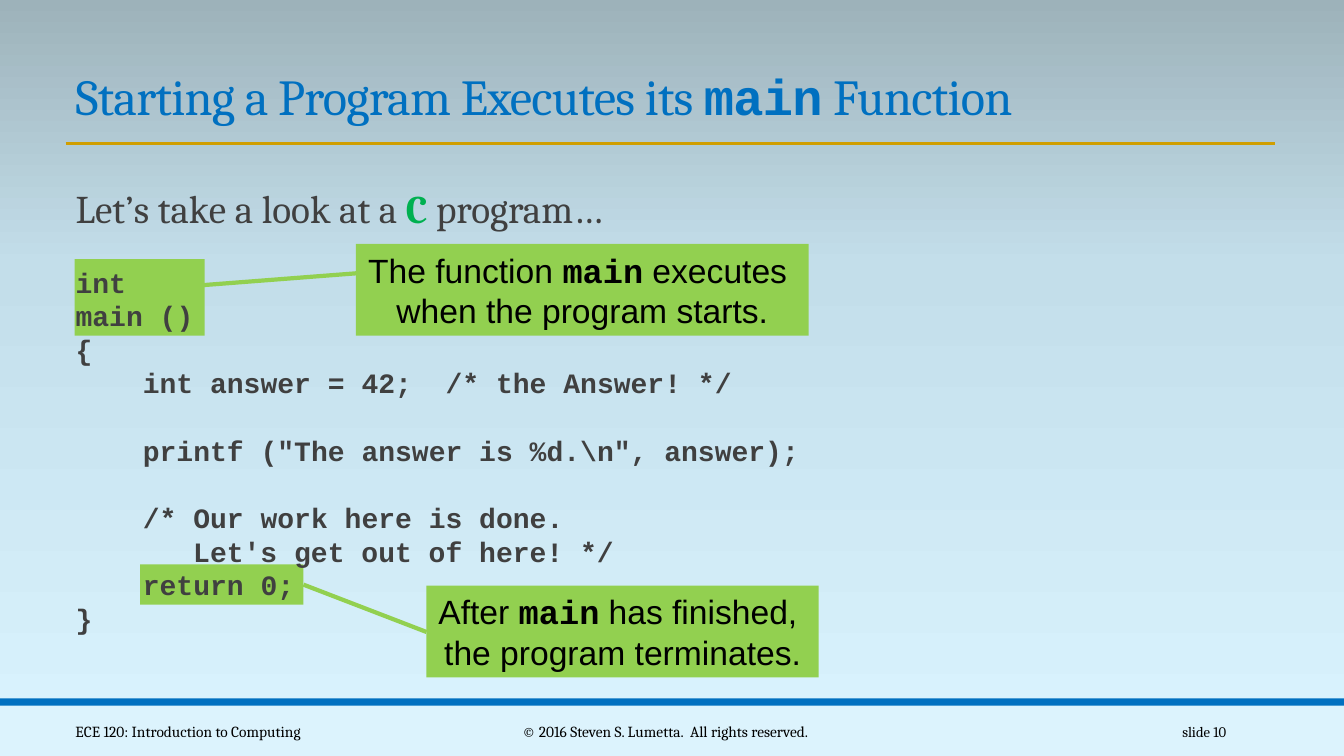
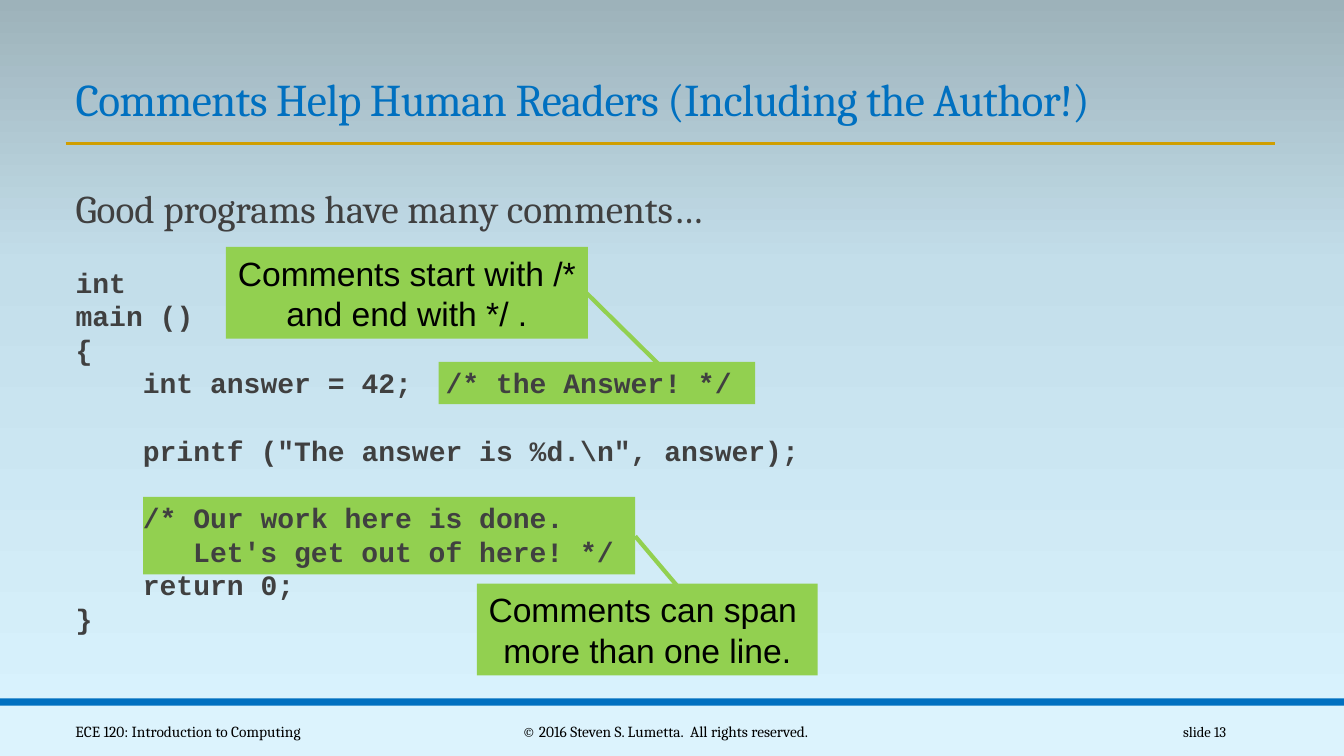
import copy
from dataclasses import dataclass, field
from typing import NamedTuple

import pptx
import pptx.dml.color
import pptx.enum.shapes
import pptx.enum.text
import pptx.oxml
import pptx.oxml.ns
import pptx.util

ALIGN = pptx.enum.text.PP_ALIGN
ANCHOR = pptx.enum.text.MSO_ANCHOR
AUTOSIZE = pptx.enum.text.MSO_AUTO_SIZE
PX = 9144  # EMU per px, 100 px to the inch


@dataclass(frozen=True)
class Theme:
    serif: str = "Cambria"
    sans: str = "Arial"
    mono: str = "Courier New"
    blue: str = "0070C0"
    gold: str = "D09E00"
    green: str = "92D050"
    keyword: str = "00B050"
    footer_fill: str = "DCF3FD"
    text: str = "404040"
    black: str = "000000"
    lead_pt: float = 28
    code_pt: float = 20
    code_line_pt: float = 24
    callout_pt: float = 24
    footer_pt: float = 11
    number_pt: float = 10.5
    background: tuple = ((0, "DAF4FF"), (0.65, "C3DEEA"), (1, "9DB2BA"))


THEME = Theme()


class Box(NamedTuple):
    x: int
    y: int
    w: int
    h: int


class Line(NamedTuple):
    x1: int
    y1: int
    x2: int
    y2: int


class Run(NamedTuple):
    text: str
    style: dict = {}


class CodeLine(NamedTuple):
    text: str
    indent: int = 0
    gap: bool = False


@dataclass(frozen=True)
class Callout:
    """A highlighted piece of code, a note about it and the line between them."""
    highlight: Box
    note: Box
    link: Line
    lines: list[list[Run]]


@dataclass(frozen=True)
class CodeSlide:
    number: int
    title: list[Run]
    lead: list[Run]
    callouts: list[Callout] = field(default_factory=list)
    title_pt: float = 36


MONO = {"name": THEME.mono, "bold": True}
TITLE_BOX = Box(65, 59, 1201, 71)
BODY_BOX = Box(65, 178, 852, 464)
PROGRAM = [
    CodeLine("int", gap=True),
    CodeLine("main ()"),
    CodeLine("{"),
    CodeLine("int answer = 42;  /* the Answer! */", 4),
    CodeLine('printf ("The answer is %d.\\n", answer);', 4, True),
    CodeLine("/* Our work here is done.", 4, True),
    CodeLine("Let's get out of here! */", 7),
    CodeLine("return 0;", 4),
    CodeLine("}"),
]
SLIDES = [
    CodeSlide(
        10,
        [Run("Starting a Program Executes its "), Run("main", MONO), Run(" Function")],
        [Run("Let’s take a look at a "),
         Run("C", {"bold": True, "color": THEME.keyword}), Run(" program…")],
        [Callout(Box(74, 257, 129, 76), Box(353, 242, 449, 91), Line(187, 284, 368, 270),
                 [[Run("The function "), Run("main", MONO), Run(" executes ")],
                  [Run("when the program starts.")]]),
         Callout(Box(139, 560, 162, 40), Box(423, 581, 389, 91), Line(301, 580, 423, 627),
                 [[Run("After "), Run("main", MONO), Run(" has finished, ")],
                  [Run("the program terminates.")]])],
    ),
    CodeSlide(
        13,
        [Run("Comments Help Human Readers (Including the Author!)")],
        [Run("Good programs have many comments…")],
        [Callout(Box(142, 493, 488, 77), Box(473, 579, 338, 91), Line(674, 584, 630, 532),
                 [[Run("Comments can span ")], [Run("more than one line.")]]),
         Callout(Box(435, 359, 314, 42), Box(224, 245, 359, 91), Line(582, 291, 658, 366),
                 [[Run("Comments start with /*")], [Run("and end with */ .")]])],
        title_pt=32.4,
    ),
]


def rgb(value: str) -> pptx.dml.color.RGBColor:
    return pptx.dml.color.RGBColor.from_string(value)


def emu(lengths: tuple) -> list[int]:
    return [n * PX for n in lengths]


def assign(target, values: dict) -> None:
    for name, value in values.items():
        setattr(target, name, value)


def style(name: str, size: float, color: str, bold: bool = False) -> dict:
    return {"name": name, "size": pptx.util.Pt(size), "color": color, "bold": bold}


def add_runs(p, runs: list[Run], base: dict, spacing: int = 0) -> None:
    """Add runs in the base style; spacing is in hundredths of a point."""
    for run in runs:
        r = p.add_run()
        r.text = run.text
        look = {**base, **run.style}
        r.font.color.rgb = rgb(look.pop("color"))
        assign(r.font, look)
        if spacing:
            r.font._element.set("spc", str(spacing))


def add_rect(s, box: Box, fill: str):
    sp = s.shapes.add_shape(pptx.enum.shapes.MSO_SHAPE.RECTANGLE, *emu(box))
    sp.shadow.inherit = False
    sp.fill.solid()
    sp.fill.fore_color.rgb = rgb(fill)
    sp.line.fill.background()
    return sp


def add_line(s, line: Line, color: str, width: float):
    sp = s.shapes.add_connector(pptx.enum.shapes.MSO_CONNECTOR.STRAIGHT, *emu(line))
    sp.line.color.rgb = rgb(color)
    sp.line.width = pptx.util.Pt(width)
    sp.element.spPr.append(pptx.oxml.parse_xml(
        f"<a:effectLst {pptx.oxml.ns.nsdecls('a')}/>"))
    return sp


def set_background(master) -> None:
    fill = master.background.fill
    fill.gradient()
    fill.gradient_angle = 90
    stops = master.element.find(".//" + pptx.oxml.ns.qn("a:gsLst"))
    stops.insert(1, copy.deepcopy(stops[0]))
    for stop, (position, color) in zip(fill.gradient_stops, THEME.background):
        stop.position = position
        stop.color.rgb = rgb(color)


def move_frame_to_master(s, master) -> None:
    """Draw the footer band and title rule, then hand them to the master."""
    frame = [
        add_rect(s, Box(-6, 700, 1339, 50), THEME.footer_fill),
        add_rect(s, Box(0, 693, 1333, 7), THEME.blue),
        add_line(s, Line(65, 142, 1265, 142), THEME.gold, 2),
    ]
    for i, sp in enumerate(frame):
        sp.element.xpath(".//p:cNvPr")[0].set("id", str(100 + i))
        master.shapes.element.insert(2 + i, sp.element)


def add_callout(s, callout: Callout) -> None:
    note = add_rect(s, callout.note, THEME.green)
    tf = note.text_frame
    assign(tf, {"word_wrap": False, "auto_size": AUTOSIZE.SHAPE_TO_FIT_TEXT,
                "vertical_anchor": ANCHOR.MIDDLE})
    for i, runs in enumerate(callout.lines):
        p = tf.add_paragraph() if i else tf.paragraphs[0]
        p.alignment = ALIGN.CENTER
        add_runs(p, runs, style(THEME.sans, THEME.callout_pt, THEME.black))
    add_rect(s, callout.highlight, THEME.green)
    add_line(s, callout.link, THEME.green, 3)


def place(s, sp, box: Box) -> None:
    """Move a placeholder to its box and to the front."""
    assign(sp, dict(zip(("left", "top", "width", "height"), emu(box))))
    s.shapes.element.append(sp.element)


def fill_title(s, slide: CodeSlide) -> None:
    sp = s.shapes.title
    place(s, sp, TITLE_BOX)
    tf = sp.text_frame
    assign(tf, {"vertical_anchor": ANCHOR.BOTTOM, "auto_size": AUTOSIZE.NONE,
                "word_wrap": True})
    p = tf.paragraphs[0]
    assign(p, {"alignment": ALIGN.LEFT, "line_spacing": 0.85})
    add_runs(p, slide.title, style(THEME.serif, slide.title_pt, THEME.blue), -50)


def format_body_line(p, indent: int = 0, before: float = 0) -> None:
    """Drop the bullet and indent by a number of code characters."""
    assign(p, {"alignment": ALIGN.LEFT, "space_before": pptx.util.Pt(before),
               "space_after": pptx.util.Pt(0)})
    ppr = p._p.get_or_add_pPr()
    char = pptx.util.Pt(THEME.code_pt * 0.6)
    ppr.set("marL", str(10 * PX + indent * char))
    ppr.set("indent", "0")
    ppr.append(pptx.oxml.parse_xml(f"<a:buNone {pptx.oxml.ns.nsdecls('a')}/>"))


def fill_body(s, slide: CodeSlide) -> None:
    sp = s.placeholders[1]
    place(s, sp, BODY_BOX)
    tf = sp.text_frame
    assign(tf, {"margin_left": 0, "margin_right": 0, "margin_top": 5 * PX,
                "margin_bottom": 5 * PX, "vertical_anchor": ANCHOR.TOP,
                "auto_size": AUTOSIZE.NONE, "word_wrap": True})
    p = tf.paragraphs[0]
    format_body_line(p)
    add_runs(p, slide.lead, style(THEME.serif, THEME.lead_pt, THEME.text))
    for line in PROGRAM:
        p = tf.add_paragraph()
        format_body_line(p, line.indent, THEME.code_line_pt if line.gap else 0)
        p.line_spacing = pptx.util.Pt(THEME.code_line_pt)
        add_runs(p, [Run(line.text)], style(THEME.mono, THEME.code_pt, THEME.text, True))


def add_footer(s, number: int) -> None:
    for box, text, align, size in (
        (Box(65, 706, 325, 40), "ECE 120: Introduction to Computing",
         ALIGN.LEFT, THEME.footer_pt),
        (Box(403, 706, 514, 40), "© 2016 Steven S. Lumetta.  All rights reserved.",
         ALIGN.CENTER, THEME.footer_pt),
        (Box(1083, 706, 143, 40), f"slide {number}", ALIGN.RIGHT, THEME.number_pt),
    ):
        tf = s.shapes.add_textbox(*emu(box)).text_frame
        assign(tf, {"word_wrap": True, "vertical_anchor": ANCHOR.MIDDLE})
        p = tf.paragraphs[0]
        p.alignment = align
        add_runs(p, [Run(text)], style(THEME.serif, size, THEME.black))


def main() -> None:
    prs = pptx.Presentation()
    assign(prs, {"slide_width": 1333 * PX, "slide_height": 750 * PX})
    master = prs.slide_master
    set_background(master)
    for i, slide in enumerate(SLIDES):
        s = prs.slides.add_slide(prs.slide_layouts[1])
        if i == 0:
            move_frame_to_master(s, master)
        for callout in slide.callouts:
            add_callout(s, callout)
        fill_title(s, slide)
        fill_body(s, slide)
        add_footer(s, slide.number)
    prs.save("out.pptx")


if __name__ == "__main__":
    main()
